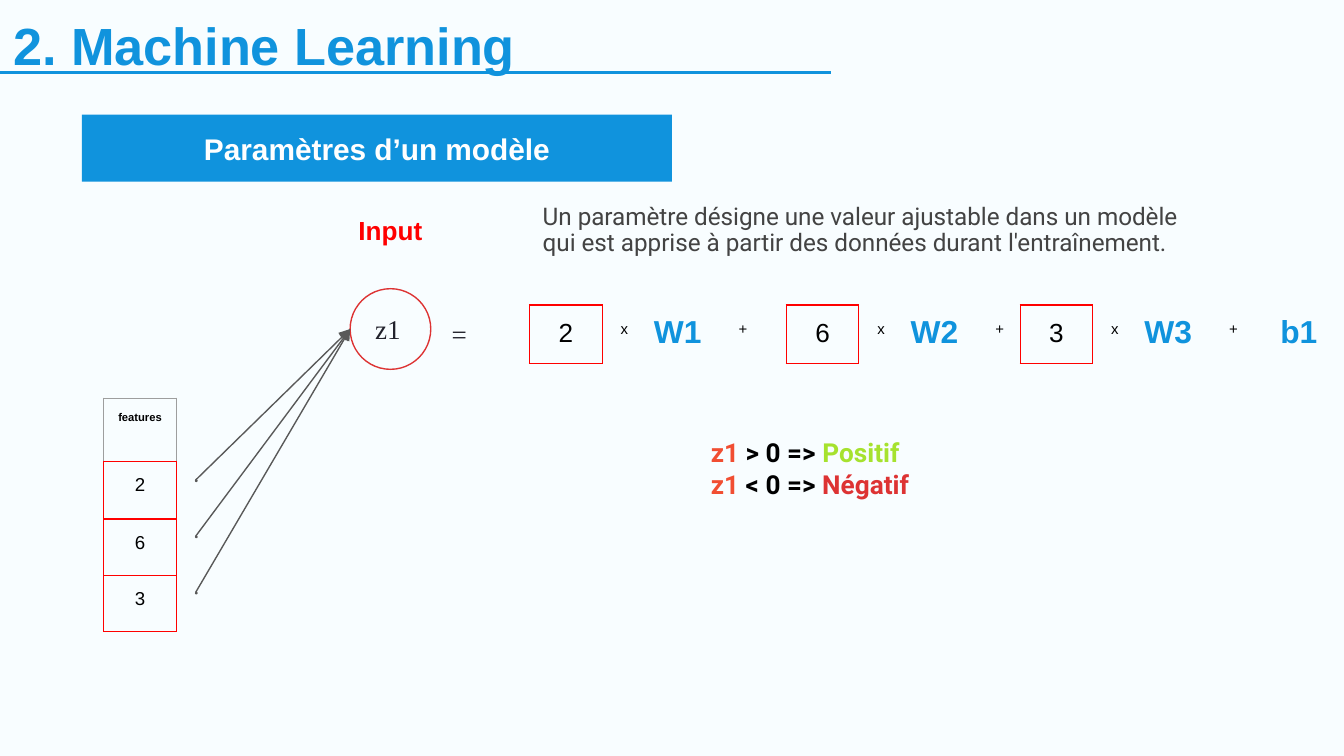
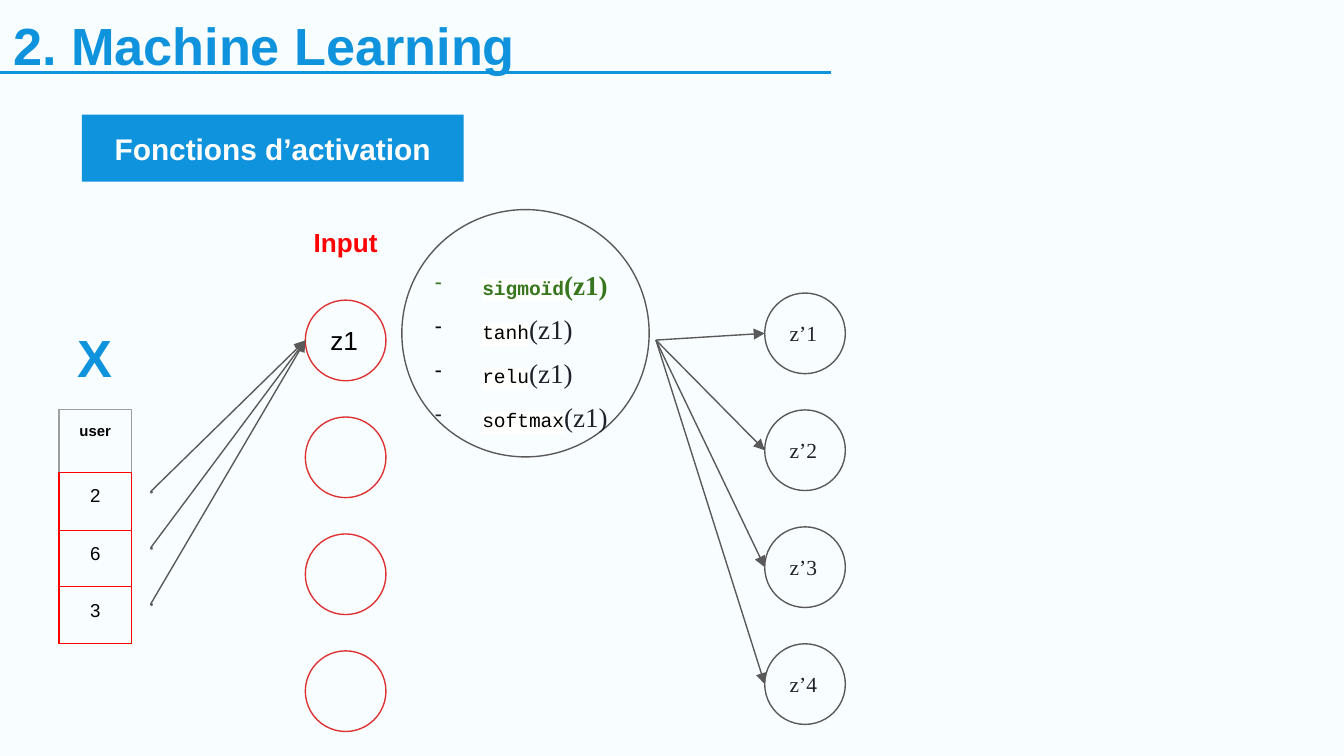
"""Build two slides on model parameters and activation functions."""
from lxml.etree import SubElement
from pptx import Presentation
from pptx.dml.color import RGBColor
from pptx.enum.shapes import MSO_CONNECTOR as CONN, MSO_SHAPE as SHAPE
from pptx.enum.text import MSO_ANCHOR as ANCHOR, PP_ALIGN as ALIGN
from pptx.oxml.ns import qn
from pptx.util import Pt

BLUE, RED, CRIMSON, BLACK = "1093DD", "FF0000", "DD3333", "000000"
GREY, INK, ORANGE, GREEN = "595959", "21212B", "F14E32", "38761D"
PAPER, WHITE, LIME, SLATE = "F8FDFF", "FFFFFF", "A6E22E", "434343"
SILVER, DOT, HIGHLIGHT = "9E9E9E", "EEEEEE", "FFFFFE"
SANS, SERIF, MONO, BODY = "Arial", "Times New Roman", "Courier New", "Roboto"

TITLE = "2. Machine Learning"
DEFINITION = ("Un paramètre désigne une valeur ajustable dans un modèle "
              "qui est apprise à partir des données durant l'entraînement.")
FEATURES = ["2", "6", "3"]
TERMS = [(283.7, "2", "W1"), (421.2, "6", "W2"), (546.5, "3", "W3")]
DECISIONS = [("> 0 =>", "Positif", LIME), ("< 0 =>", "Négatif", CRIMSON)]
ACTIVATIONS = [("sigmoïd", GREEN, GREEN, GREEN, True),
               ("tanh", BLACK, INK, BLACK, False),
               ("relu", BLACK, INK, BLACK, False),
               ("softmax", BLACK, INK, INK, False)]
OUTPUTS = ["z’1", "z’2", "z’3", "z’4"]

COL_W, ROWS = 38.9, [33.8, 31, 30.2, 30.2]
NODE, NODE_PITCH = 43.2, 62.64
DOT_SIZE, DOT_PITCH = 0.7, 30.1


def rgb(value):
    return RGBColor.from_string(value)


def write(tf, paragraphs, align=ALIGN.LEFT, spacing=None, inset=7.2):
    tf.word_wrap = True
    tf.margin_left = tf.margin_right = Pt(7.2)
    tf.margin_top = tf.margin_bottom = Pt(inset)
    for i, runs in enumerate(paragraphs):
        p = tf.add_paragraph() if i else tf.paragraphs[0]
        p.alignment = align
        if spacing:
            p.line_spacing = spacing
        for text, size, font, color, bold in runs:
            r = p.add_run()
            r.text = text
            r.font.size, r.font.name, r.font.bold = Pt(size), font, bold
            r.font.color.rgb = rgb(color)


def add_text(s, box, paragraphs, align=ALIGN.CENTER, spacing=None):
    tf = s.shapes.add_textbox(*map(Pt, box)).text_frame
    write(tf, paragraphs, align, spacing)
    return tf


def add_shape(s, kind, box, fill=None, line=None):
    sp = s.shapes.add_shape(kind, *map(Pt, box))
    sp.shadow.inherit = False
    if fill:
        sp.fill.solid()
        sp.fill.fore_color.rgb = rgb(fill)
    else:
        sp.fill.background()
    if line:
        sp.line.color.rgb, sp.line.width = rgb(line), Pt(0.75)
    else:
        sp.line.fill.background()
    return sp


def add_line(s, start, end, color=GREY, width=0.75, arrow=True):
    c = s.shapes.add_connector(CONN.STRAIGHT, *map(Pt, start + end))
    c.line.color.rgb, c.line.width = rgb(color), Pt(width)
    if arrow:
        SubElement(c.line._get_or_add_ln(), qn("a:tailEnd"), type="triangle")
    SubElement(c._element.spPr, qn("a:effectLst"))


def add_node(s, x, y, line, run=None):
    sp = add_shape(s, SHAPE.OVAL, (x, y, NODE, NODE), line=line)
    if run:
        write(sp.text_frame, [[run]])
        sp.text_frame.vertical_anchor = ANCHOR.MIDDLE


def set_borders(cell, sides):
    tc_pr = cell._tc.get_or_add_tcPr()
    for side in "LRTB":
        ln = SubElement(tc_pr, qn("a:ln" + side), w=str(Pt(0.75)))
        fill = SubElement(ln, qn("a:solidFill"))
        SubElement(fill, qn("a:srgbClr"), val=sides[side])


def add_column(s, x, y, runs, heights, header=False):
    frame = s.shapes.add_table(len(runs), 1, Pt(x), Pt(y), Pt(COL_W), Pt(sum(heights)))
    table = frame.table
    table.first_row = table.horz_banding = False
    table.columns[0].width = Pt(COL_W)
    for i, (run, height) in enumerate(zip(runs, heights)):
        table.rows[i].height = Pt(height)
        cell = table.cell(i, 0)
        write(cell.text_frame, [[run]], ALIGN.CENTER)
        cell.margin_left = cell.margin_right = Pt(7.2)
        cell.margin_top = cell.margin_bottom = Pt(7.2)
        sides = dict.fromkeys("LRTB", RED)
        if header and i == 0:
            sides.update(dict.fromkeys("LRT", SILVER))
        set_borders(cell, sides)
        cell.fill.background()


def add_header(prs, section, width):
    s = prs.slides.add_slide(prs.slide_layouts[6])
    add_line(s, (0, 38.7), (445, 38.7), BLUE, 1.5, arrow=False)
    add_text(s, (0, 0, 643.7, 48.2), [[(TITLE, 28, SANS, BLUE, True)]], ALIGN.LEFT)
    sp = add_shape(s, SHAPE.RECTANGLE, (43.9, 61.4, width, 36), fill=BLUE)
    write(sp.text_frame, [[(section, 16, SANS, WHITE, True)]], ALIGN.CENTER, inset=3.6)
    sp.text_frame.vertical_anchor = ANCHOR.MIDDLE
    return s


def add_input_layer(s, x, y, head, head_size, node_run, label_size):
    """Draw the feature column, its arrows and the first input node."""
    runs = [(head, head_size, SANS, BLACK, True)]
    runs += [(value, 10, SANS, BLACK, False) for value in FEATURES]
    add_column(s, x, y, runs, ROWS, header=True)
    node_x, node_y = x + 132, y - 58.6
    add_node(s, node_x, node_y, CRIMSON, node_run)
    for i in range(len(FEATURES)):
        dot_x, dot_y = x + 49.2, y + 43.9 + i * DOT_PITCH
        add_shape(s, SHAPE.OVAL, (dot_x, dot_y, DOT_SIZE, DOT_SIZE), DOT, GREY)
        add_line(s, (dot_x, dot_y), (node_x, node_y + NODE / 2))
    width, height = label_size
    label_x = node_x + (NODE - width) / 2
    add_text(s, (label_x, node_y - 46.8, width, height),
             [[("Input", 14, SANS, RED, True)]])
    return node_x, node_y


def add_equation(s):
    add_text(s, (234.8, 162.7, 49, 32.4), [[("=", 14.5, SERIF, INK, False)]], ALIGN.LEFT)
    for x, value, weight in TERMS:
        add_column(s, x, 163.4, [(value, 14, SANS, BLACK, False)], [31])
        for offset, sign in ((39.6, "x"), (103.2, "+")):
            add_text(s, (x + offset, 166.3, 22.3, 24.5),
                     [[(sign, 8, SANS, BLACK, False)]])
        add_weight(s, x + 58.1, weight)
    add_weight(s, 674.6, "b1")


def add_weight(s, x, name):
    add_text(s, (x, 159.8, 42.5, 35.3), [[(name, 17, SANS, BLUE, True)]])


def add_parameters(prs):
    s = add_header(prs, "Paramètres d’un modèle", 316.1)
    add_input_layer(s, 55.6, 213.3, "features", 6,
                    ("z1", 14.5, SERIF, INK, False), (199.4, 48.2))
    add_text(s, (283.7, 102.2, 372.2, 43.2),
             [[(DEFINITION, 13, BODY, SLATE, False)]], ALIGN.LEFT, 0.9)
    add_equation(s)
    rules = [[("z1 ", 14, BODY, ORANGE, True), (test + " ", 14, BODY, BLACK, True),
              (verdict, 14, BODY, color, True)] for test, verdict, color in DECISIONS]
    add_text(s, (373.7, 226.8, 128.9, 51.8), rules, ALIGN.LEFT)


def add_functions(s):
    add_shape(s, SHAPE.OVAL, (215.3, 112.3, 132.5, 132.5), line=GREY)
    items = [[(name, 10.5, MONO, color, bold), ("(z1)", 14.5, SERIF, arg, bold)]
             for name, color, arg, dash, bold in ACTIVATIONS]
    tf = add_text(s, (215.3, 130.3, 136.8, 103.7), items, ALIGN.LEFT, 1.36)
    for p, (name, color, arg, dash, bold) in zip(tf.paragraphs, ACTIVATIONS):
        p_pr = p._p.get_or_add_pPr()
        p_pr.set("marL", str(Pt(36)))
        p_pr.set("indent", str(Pt(-25.2)))
        tint = SubElement(p_pr, qn("a:buClr"))
        SubElement(tint, qn("a:srgbClr"), val=dash)
        SubElement(p_pr, qn("a:buChar"), char="-")
        r_pr = p.runs[0]._r.get_or_add_rPr()
        mark = SubElement(r_pr, qn("a:highlight"))
        SubElement(mark, qn("a:srgbClr"), val=HIGHLIGHT)
        r_pr.find(qn("a:latin")).addprevious(mark)


def add_activation(prs):
    s = add_header(prs, "Fonctions d’activation", 204.5)
    add_functions(s)
    x, y = add_input_layer(s, 31.6, 219.4, "user", 8,
                           ("z1", 14, SANS, BLACK, False), (91.4, 31.7))
    add_text(s, (29.5, 167, 42.5, 48.2), [[("X", 28, SANS, BLUE, True)]])
    for i, name in enumerate(OUTPUTS):
        if i:
            add_node(s, x, y + i * NODE_PITCH, CRIMSON)
        out_y = 157 + i * NODE_PITCH
        add_node(s, 409.7, out_y, GREY, (name, 11.5, SERIF, INK, False))
        add_line(s, (351.4, 182.2), (409.7, out_y + NODE / 2))


def main():
    prs = Presentation()
    prs.slide_width, prs.slide_height = Pt(720), Pt(405)
    fill = prs.slide_master.background.fill
    fill.solid()
    fill.fore_color.rgb = rgb(PAPER)
    add_parameters(prs)
    add_activation(prs)
    prs.save("out.pptx")


if __name__ == "__main__":
    main()
